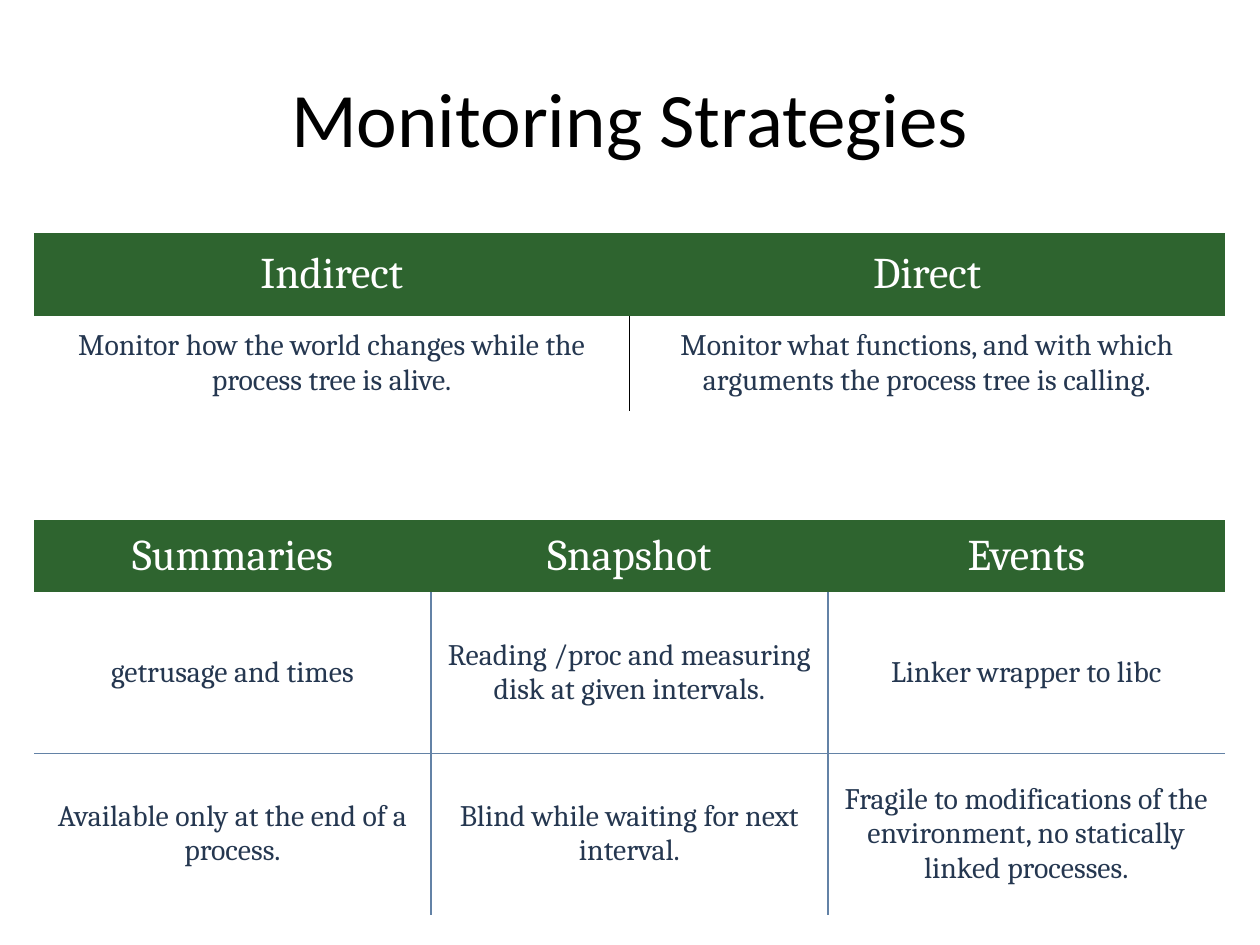
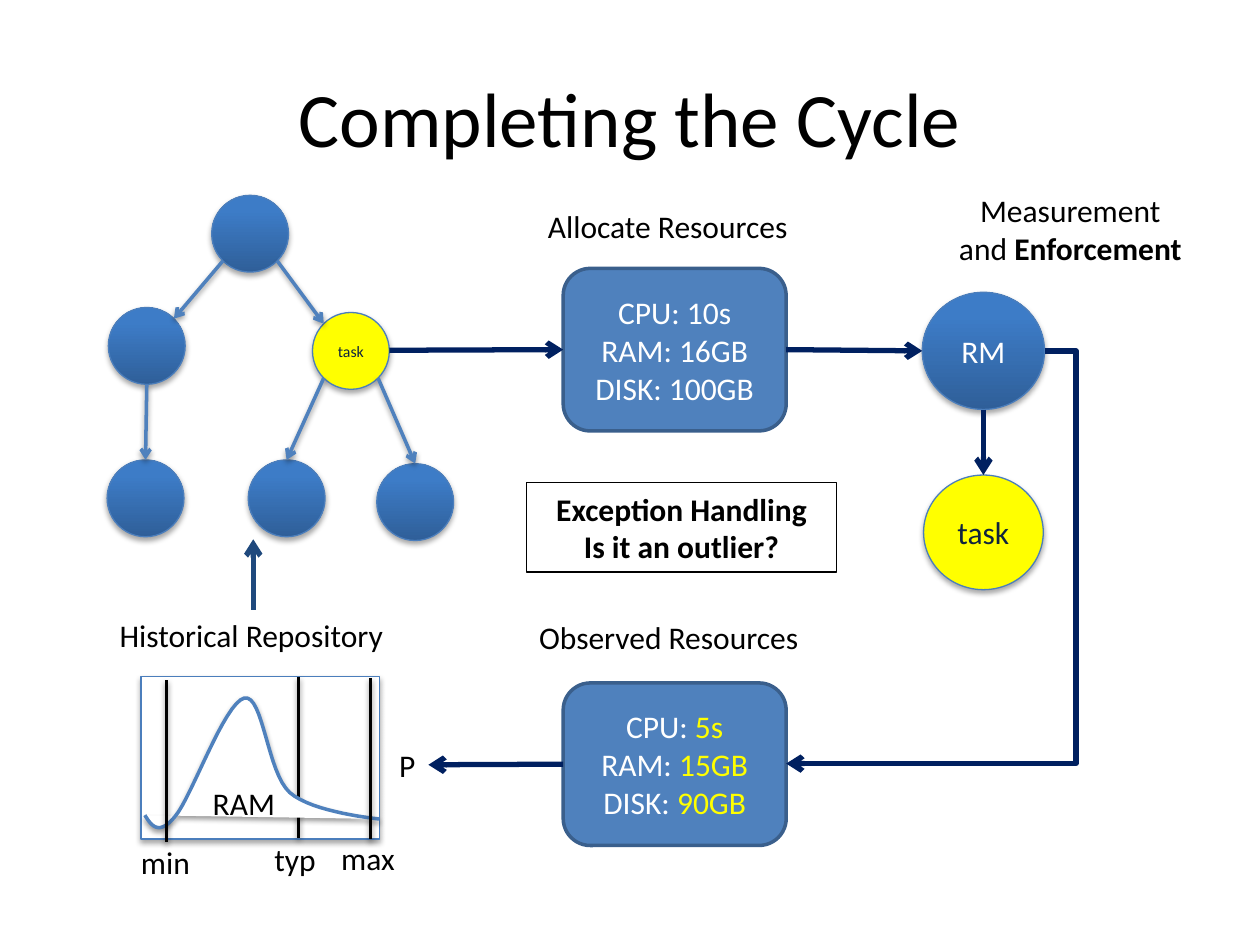
from dataclasses import dataclass
from math import cos, radians, sin

from lxml.etree import SubElement
from pptx import Presentation
from pptx.dml.color import RGBColor
from pptx.enum.shapes import MSO_CONNECTOR, MSO_SHAPE
from pptx.enum.text import MSO_ANCHOR, PP_ALIGN
from pptx.oxml.ns import qn
from pptx.util import Inches, Pt

BLACK = RGBColor(0x00, 0x00, 0x00)
WHITE = RGBColor(0xFF, 0xFF, 0xFF)
YELLOW = RGBColor(0xFF, 0xFF, 0x00)
HEADER_GREEN = RGBColor(0x2E, 0x64, 0x2F)
CELL_INK = RGBColor(0x25, 0x37, 0x50)
RULE_BLUE = RGBColor(0x63, 0x82, 0xA6)
TASK_INK = RGBColor(0x0F, 0x24, 0x3E)
NODE_DARK = RGBColor(0x2F, 0x5F, 0x99)
NODE_LIGHT = RGBColor(0x3D, 0x7C, 0xC7)
NODE_EDGE = RGBColor(0x4B, 0x7E, 0xBC)
BLUE = RGBColor(0x4F, 0x81, 0xBD)
BOX_EDGE = RGBColor(0x3A, 0x5F, 0x8C)
NAVY = RGBColor(0x00, 0x20, 0x60)
STEEL = RGBColor(0x1F, 0x49, 0x7D)

BODY_FONT = "Calibri"
TABLE_FONT = "Cambria"
PLAIN_TABLE = "{2D5ABB26-0587-4C30-8999-92F81FD0307C}"
TABLE_LEFT, TABLE_WIDTH = 0.27, 9.45
NODE_SIZE = 0.61
BOX_LEFT, BOX_WIDTH, BOX_HEIGHT = 4.47, 1.77, 1.29
FLOW_Y = 2.78


@dataclass
class Grid:
    top: float
    row_heights: list[float]
    rows: list[list[str]]
    rule: RGBColor


@dataclass
class Circle:
    x: float
    y: float
    w: float = NODE_SIZE
    h: float = NODE_SIZE
    text: str = ""
    size: float = 18
    is_task: bool = False

    def point(self, angle: float) -> tuple[float, float]:
        a = radians(angle)
        return (self.x + self.w / 2 * (1 + cos(a)), self.y + self.h / 2 * (1 + sin(a)))


@dataclass
class Edge:
    parent: str
    leave: float
    child: str
    arrive: float = 270


@dataclass
class Label:
    x: float
    y: float
    w: float
    lines: list[str]
    h: float = 0.4
    align: PP_ALIGN = PP_ALIGN.LEFT


GRIDS = [
    Grid(4.13, [0.57, 1.28, 1.28], [
        ["Summaries", "Snapshot", "Events"],
        ["getrusage and times", "Reading /proc and measuring disk at given intervals.",
         "Linker wrapper to libc"],
        ["Available only at the end of a process.", "Blind while waiting for next interval.",
         "Fragile to modifications of the environment, no statically linked processes."],
    ], RULE_BLUE),
    Grid(1.85, [0.66, 0.75], [
        ["Indirect", "Direct"],
        ["Monitor how the world changes while the process tree is alive.",
         "Monitor what functions, and with which arguments the process tree is calling."],
    ], BLACK),
]

CIRCLES = {
    "root": Circle(1.68, 1.55),
    "task": Circle(2.48, 2.48, text="task", size=9, is_task=True),
    "left": Circle(0.86, 2.44),
    "left leaf": Circle(0.85, 3.65),
    "middle leaf": Circle(1.97, 3.65),
    "right leaf": Circle(2.99, 3.68),
    "running task": Circle(7.33, 3.77, 0.95, 0.91, "task", is_task=True),
    "manager": Circle(7.32, 2.32, 0.97, 0.93, "RM"),
}

EDGES = [
    Edge("root", 135, "left", 315),
    Edge("root", 45, "task", 225),
    Edge("left", 90, "left leaf"),
    Edge("task", 135, "middle leaf"),
    Edge("task", 45, "right leaf"),
]

HISTOGRAM_LABELS = [
    Label(2.08, 6.62, 0.53, ["typ"]),
    Label(2.61, 6.61, 0.63, ["max"]),
    Label(1.02, 6.64, 0.59, ["min"]),
    Label(3.07, 5.87, 0.33, ["P"]),
    Label(1.59, 6.17, 0.7, ["RAM"]),
]

STAGE_LABELS = [
    Label(4.25, 1.59, 2.12, ["Allocate Resources"]),
    Label(0.85, 4.84, 2.31, ["Historical Repository"]),
    Label(4.18, 4.86, 2.28, ["Observed Resources"]),
    Label(7.51, 1.47, 1.97, ["Measurement", "and |Enforcement"], 0.71, PP_ALIGN.CENTER),
]

MARKERS = [(2.37, 5.37), (2.94, 5.38), (1.32, 5.4)]
CURVE_START = (1.15, 6.47)
CURVE = [
    ((1.2, 6.55), (1.26, 6.64), (1.39, 6.48)),
    ((1.52, 6.33), (1.78, 5.58), (1.94, 5.54)),
    ((2.09, 5.51), (2.12, 6.13), (2.3, 6.29)),
    ((2.48, 6.45), (3.01, 6.5), (3.01, 6.5)),
]


def write(tf, lines: list[str], size: float, color=BLACK, font=BODY_FONT,
          align=PP_ALIGN.CENTER, bold=False, accent=None) -> None:
    for i, line in enumerate(lines):
        p = tf.add_paragraph() if i else tf.paragraphs[0]
        head, _, tail = line.partition("|")
        p.text = head
        p.alignment = align
        if tail:
            p.add_run().text = tail
        for j, r in enumerate(p.runs):
            r.font.name, r.font.size = font, Pt(size)
            r.font.color.rgb = accent if j and accent else color
            r.font.bold = bold or (j > 0 and accent is None)


def set_effects(shape, alpha: int = 0, distance: int = 0) -> None:
    sp_pr = shape.element.spPr
    effects = sp_pr.find(qn("a:effectLst"))
    if effects is None:
        effects = SubElement(sp_pr, qn("a:effectLst"))
    if alpha:
        shadow = SubElement(effects, qn("a:outerShdw"), blurRad="40000", dist=str(distance),
                            dir="5400000", rotWithShape="0")
        color = SubElement(shadow, qn("a:srgbClr"), val=str(BLACK))
        SubElement(color, qn("a:alpha"), val=str(alpha * 1000))


def set_line(shape, color: RGBColor, width: float) -> None:
    shape.line.color.rgb = color
    shape.line.width = Pt(width)


def add_shape(s, kind, x: float, y: float, w: float, h: float, fill, edge, width: float):
    sp = s.shapes.add_shape(kind, Inches(x), Inches(y), Inches(w), Inches(h))
    if fill is None:
        sp.fill.background()
    else:
        sp.fill.solid()
        sp.fill.fore_color.rgb = fill
    set_line(sp, edge, width)
    sp.shadow.inherit = False
    sp.text_frame.vertical_anchor = MSO_ANCHOR.MIDDLE
    return sp


def add_line(s, start, end, color: RGBColor, width: float, arrow=True, shadow=False,
             kind=MSO_CONNECTOR.STRAIGHT):
    cn = s.shapes.add_connector(kind, *(Inches(v) for v in (*start, *end)))
    set_line(cn, color, width)
    if arrow:
        SubElement(cn.element.spPr.find(qn("a:ln")), qn("a:tailEnd"), type="arrow")
    set_effects(cn, 38 if shadow else 0, 20000)
    return cn


def add_circle(s, c: Circle):
    sp = add_shape(s, MSO_SHAPE.OVAL, c.x, c.y, c.w, c.h, YELLOW, NODE_EDGE, 0.75)
    if not c.is_task:
        sp.fill.gradient()
        sp.fill.gradient_angle = 90
        for stop, color, position in zip(sp.fill.gradient_stops, (NODE_DARK, NODE_LIGHT), (0, 0.8)):
            stop.color.rgb, stop.position = color, position
    set_effects(sp, 35, 23000)
    if c.text:
        sp.text_frame.word_wrap = False
        write(sp.text_frame, [c.text], c.size, TASK_INK if c.is_task else WHITE)
    return sp


def add_label(s, label: Label) -> None:
    tb = s.shapes.add_textbox(Inches(label.x), Inches(label.y), Inches(label.w), Inches(label.h))
    tb.text_frame.word_wrap = False
    write(tb.text_frame, label.lines, 18, align=label.align)


def add_box(s, y: float, lines: list[str]):
    sp = add_shape(s, MSO_SHAPE.ROUNDED_RECTANGLE, BOX_LEFT, y, BOX_WIDTH, BOX_HEIGHT,
                   BLUE, BOX_EDGE, 2)
    write(sp.text_frame, lines, 18, WHITE, accent=YELLOW)
    return sp


def add_title_slide(prs, title: str):
    s = prs.slides.add_slide(prs.slide_layouts[6])
    tf = s.shapes.add_textbox(Inches(0.5), Inches(0.3), Inches(9), Inches(1.25)).text_frame
    tf.word_wrap = True
    tf.vertical_anchor = MSO_ANCHOR.MIDDLE
    write(tf, [title], 44)
    return s


def add_border(cell, side: str, color: RGBColor) -> None:
    ln = SubElement(cell._tc.get_or_add_tcPr(), qn(f"a:ln{side}"), w=str(Pt(1)))
    SubElement(SubElement(ln, qn("a:solidFill")), qn("a:srgbClr"), val=str(color))


def add_grid(s, grid: Grid) -> None:
    n_rows, n_cols = len(grid.rows), len(grid.rows[0])
    table = s.shapes.add_table(n_rows, n_cols, Inches(TABLE_LEFT), Inches(grid.top),
                               Inches(TABLE_WIDTH), Inches(sum(grid.row_heights))).table
    table.first_row = table.horz_banding = False
    table._tbl.tblPr.find(qn("a:tableStyleId")).text = PLAIN_TABLE
    for column in table.columns:
        column.width = Inches(TABLE_WIDTH / n_cols)
    for i, texts in enumerate(grid.rows):
        table.rows[i].height = Inches(grid.row_heights[i])
        for j, text in enumerate(texts):
            cell = table.cell(i, j)
            cell.margin_left = cell.margin_right = Inches(0.04)
            cell.margin_top = cell.margin_bottom = Inches(0.04)
            cell.vertical_anchor = MSO_ANCHOR.MIDDLE
            if i == 0:
                cell.fill.solid()
                cell.fill.fore_color.rgb = HEADER_GREEN
                write(cell.text_frame, [text], 25, WHITE, TABLE_FONT)
                continue
            inner = {"L": j > 0, "R": j < n_cols - 1, "T": i > 1, "B": i < n_rows - 1}
            for side, shown in inner.items():
                if shown:
                    add_border(cell, side, grid.rule)
            cell.fill.background()
            write(cell.text_frame, [text], 17, CELL_INK, TABLE_FONT)


def bezier(p0, p1, p2, p3, t: float) -> tuple[int, int]:
    u = 1 - t
    return tuple(Inches(u**3 * a + 3 * u * u * t * b + 3 * u * t * t * c + t**3 * d)
                 for a, b, c, d in zip(p0, p1, p2, p3))


def add_histogram(s) -> None:
    frame = add_shape(s, MSO_SHAPE.RECTANGLE, 1.12, 5.37, 1.89, 1.29, WHITE, NODE_EDGE, 0.75)
    set_effects(frame, 35, 23000)

    def add_marker(x: float, y: float) -> None:
        add_line(s, (x, y), (x, y + 1.28), BLACK, 2, arrow=False, shadow=True)

    add_marker(*MARKERS[0])
    points, start, steps = [], CURVE_START, 16
    for c1, c2, end in CURVE:
        points += [bezier(start, c1, c2, end, k / steps) for k in range(1, steps + 1)]
        start = end
    builder = s.shapes.build_freeform(*(Inches(v) for v in CURVE_START))
    builder.add_line_segments(points, close=False)
    curve = builder.convert_to_shape()
    curve.fill.solid()
    curve.fill.fore_color.rgb = WHITE
    set_line(curve, BLUE, 2)
    curve.shadow.inherit = False
    set_effects(curve, 38, 20000)
    for marker in MARKERS[1:]:
        add_marker(*marker)
    for label in HISTOGRAM_LABELS:
        add_label(s, label)


def build_cycle(s) -> None:
    nodes = {name: add_circle(s, c) for name, c in CIRCLES.items()}
    for e in EDGES:
        cn = add_line(s, CIRCLES[e.parent].point(e.leave), CIRCLES[e.child].point(e.arrive),
                      BLUE, 2, shadow=True)
        if e.arrive == 270:
            cn.end_connect(nodes[e.child], 0)
    add_histogram(s)
    allocated = add_box(s, 2.13, ["CPU: 10s", "RAM: 16GB", "DISK: 100GB"])
    observed = add_box(s, 5.42, ["CPU: |5s", "RAM: |15GB", "DISK: |90GB"])
    box_right, observed_y = BOX_LEFT + BOX_WIDTH, 6.06
    manager = CIRCLES["manager"]
    add_line(s, (3.09, FLOW_Y), (BOX_LEFT, FLOW_Y), NAVY, 3).end_connect(allocated, 1)
    add_line(s, (box_right, FLOW_Y), manager.point(180), NAVY, 3).begin_connect(allocated, 3)
    add_line(s, manager.point(90), CIRCLES["running task"].point(270), NAVY, 3).end_connect(
        nodes["running task"], 0)
    bent = add_line(s, manager.point(0), (box_right, observed_y), NAVY, 3,
                    kind=MSO_CONNECTOR.ELBOW)
    guides = bent.element.spPr.find(qn("a:prstGeom")).find(qn("a:avLst"))
    SubElement(guides, qn("a:gd"), name="adj1", fmla="val -12200")
    add_line(s, (BOX_LEFT, observed_y), (3.4, 6.07), NAVY, 3).begin_connect(observed, 1)
    for label in STAGE_LABELS:
        add_label(s, label)
    add_line(s, (2.01, 4.84), (2.01, 4.28), STEEL, 3)
    question = add_shape(s, MSO_SHAPE.RECTANGLE, 4.18, 3.83, 2.46, 0.71, None, BLACK, 1)
    write(question.text_frame, ["Exception Handling", "Is it an outlier?"], 18, bold=True)


def main() -> None:
    prs = Presentation()
    prs.slide_width, prs.slide_height = Inches(10), Inches(7.5)
    s = add_title_slide(prs, "Monitoring Strategies")
    for grid in GRIDS:
        add_grid(s, grid)
    build_cycle(add_title_slide(prs, "Completing the Cycle"))
    prs.save("out.pptx")


if __name__ == "__main__":
    main()
